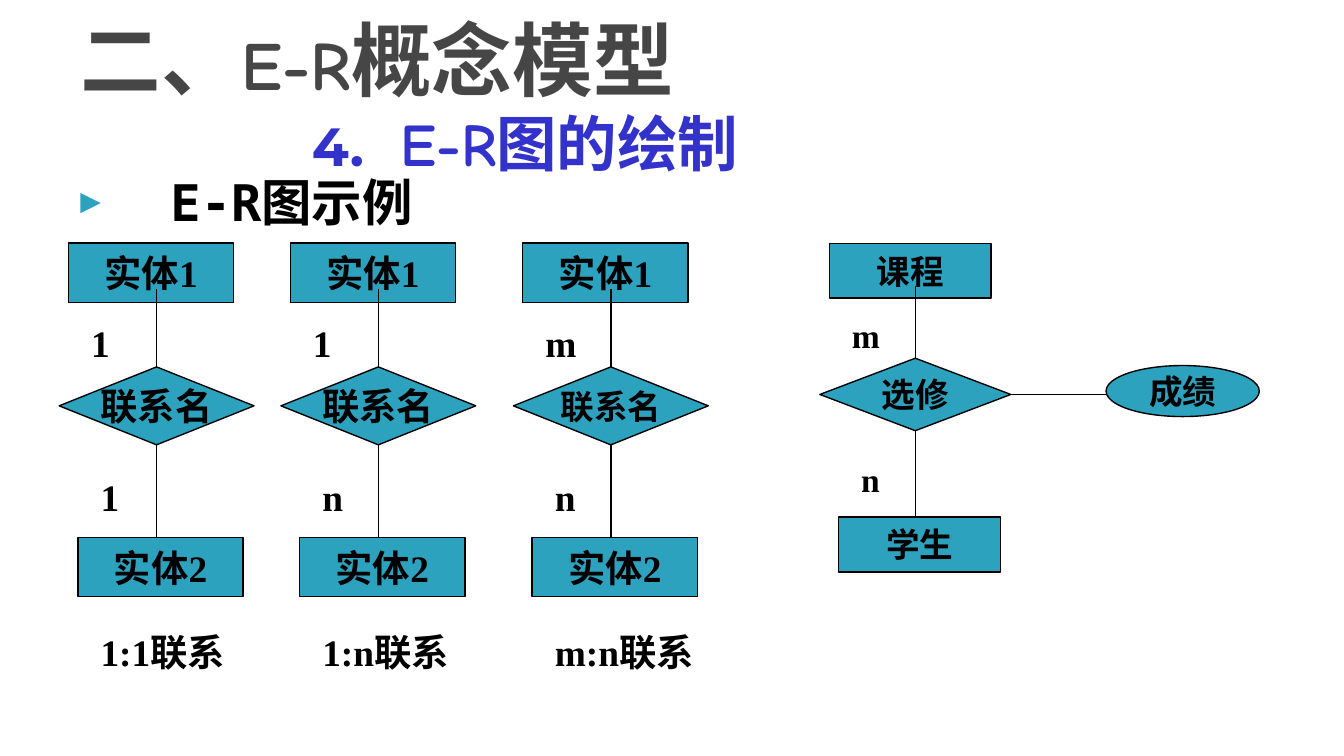
from dataclasses import dataclass

from lxml import etree
from pptx import Presentation
from pptx import util as u
from pptx.dml.color import RGBColor
from pptx.enum import shapes, text
from pptx.oxml import ns


@dataclass(frozen=True)
class Theme:
    fill: str = "2DA2BF"
    ink: str = "000000"
    heading: str = "464646"
    accent: str = "3333CC"
    mono: str = "DejaVu Sans Mono"
    comic: str = "Comic Neue"
    number: str = "Montserrat"
    serif: str = "Times New Roman"
    large: float = 20
    small: float = 18
    bullet: float = 27
    line: float = 0.75


class SlideBuilder:
    def __init__(self, slide, theme):
        self.slide = slide
        self.theme = theme
        self.canvas = slide.shapes

    def start_group(self):
        self.canvas = self.slide.shapes.add_group_shape().shapes

    def run(self, paragraph, words, size, font, color):
        run = paragraph.add_run()
        run.text = words
        run.font.size = u.Pt(size)
        run.font.name = font
        run.font.bold = True
        run.font.color.rgb = RGBColor.from_string(color)
        east_asian = etree.SubElement(run.font._element, ns.qn("a:ea"))
        east_asian.set("typeface", self.theme.mono)

    def title(self, box, lines):
        shape = self.slide.shapes.title
        shape.left, shape.top, shape.width, shape.height = map(u.Inches, box)
        frame = shape.text_frame
        frame.word_wrap = True
        frame.auto_size = text.MSO_AUTO_SIZE.NONE
        frame.vertical_anchor = text.MSO_ANCHOR.MIDDLE
        paragraph = frame.paragraphs[0]
        paragraph.alignment = text.PP_ALIGN.LEFT
        tabs = etree.SubElement(paragraph._p.get_or_add_pPr(), ns.qn("a:tabLst"))
        tab = etree.SubElement(tabs, ns.qn("a:tab"))
        tab.set("pos", str(u.Inches(1.48)))
        tab.set("algn", "l")
        for index, line in enumerate(lines):
            if index:
                paragraph.add_line_break()
            for run in line:
                self.run(paragraph, *run)

    def bullet(self, box, words):
        shape = self.slide.shapes.add_textbox(*map(u.Inches, box))
        shape.text_frame.word_wrap = True
        paragraph = shape.text_frame.paragraphs[0]
        paragraph.space_before = u.Pt(4)
        properties = paragraph._p.get_or_add_pPr()
        properties.set("marL", str(u.Inches(0.67)))
        properties.set("indent", str(-u.Inches(0.67)))
        color = etree.SubElement(properties, ns.qn("a:buClr"))
        etree.SubElement(color, ns.qn("a:srgbClr")).set("val", self.theme.fill)
        etree.SubElement(properties, ns.qn("a:buSzPct")).set("val", "68000")
        etree.SubElement(properties, ns.qn("a:buFont")).set("typeface", self.theme.mono)
        etree.SubElement(properties, ns.qn("a:buChar")).set("char", "▶")
        self.run(paragraph, words, self.theme.bullet, self.theme.mono, self.theme.ink)

    def node(self, kind, box, words, size):
        shape = self.canvas.add_shape(kind, *map(u.Inches, box))
        shape.shadow.inherit = False
        shape.fill.solid()
        shape.fill.fore_color.rgb = RGBColor.from_string(self.theme.fill)
        shape.line.color.rgb = RGBColor.from_string(self.theme.ink)
        shape.line.width = u.Pt(self.theme.line)
        frame = shape.text_frame
        frame.word_wrap = kind == shapes.MSO_SHAPE.RECTANGLE
        frame.vertical_anchor = text.MSO_ANCHOR.MIDDLE
        paragraph = frame.paragraphs[0]
        paragraph.alignment = text.PP_ALIGN.CENTER
        self.run(paragraph, words, size, self.theme.serif, self.theme.ink)
        return shape

    def label(self, box, words, size):
        frame = self.canvas.add_textbox(*map(u.Inches, box)).text_frame
        frame.word_wrap = True
        frame.margin_right = 0
        self.run(frame.paragraphs[0], words, size, self.theme.serif, self.theme.ink)

    def link(self, start, end, shape, site):
        connector = self.canvas.add_connector(
            shapes.MSO_CONNECTOR.STRAIGHT, *map(u.Inches, (*start, *end)))
        connector.begin_connect(shape, site)
        connector.line.color.rgb = RGBColor.from_string(self.theme.ink)
        connector.line.width = u.Pt(self.theme.line)
        etree.SubElement(connector._element.spPr, ns.qn("a:effectLst"))

    def relation(self, left, names, ends, size, name_size, x_scale=1, y_scale=1):
        def y(offset):
            return 1.81 + offset * y_scale

        self.start_group()
        first, relation, second = names
        entity = 1.23 * x_scale, 0.44 * y_scale
        width, height = 1.45 * x_scale, 0.58 * y_scale
        middle = left + width / 2
        rectangle = shapes.MSO_SHAPE.RECTANGLE
        self.node(rectangle, (left + 0.07, y(0), *entity), first, size)
        diamond = self.node(
            shapes.MSO_SHAPE.DIAMOND, (left, y(0.92), width, height), relation, name_size)
        self.node(rectangle, (left + 0.14, y(2.19), *entity), second, size)
        self.link((middle, y(0.92)), (middle, y(0.34)), diamond, 0)
        self.link((middle, y(1.5)), (middle, y(2.19)), diamond, 2)
        for word, indent, offset in zip(ends, (0.14, 0.21), (0.52, 1.67)):
            self.label((left + indent, y(offset), 0.36, entity[1]), word, size)
        return diamond


def main():
    presentation = Presentation()
    presentation.slide_width = u.Inches(10)
    presentation.slide_height = presentation.slide_width * 9 // 16
    theme = Theme()
    slide = presentation.slides.add_slide(presentation.slide_layouts[5])
    builder = SlideBuilder(slide, theme)

    builder.bullet((0.5, 1.22, 9, 3.71), "E-R图示例")
    builder.title((0.5, 0.23, 9, 0.94), [
        [("二、", 43.2, theme.mono, theme.heading),
         ("E-R", 36.9, theme.comic, theme.heading),
         ("概念模型", 43.2, theme.mono, theme.heading)],
        [("\t 4.", 28.8, theme.number, theme.accent),
         (" ", 32.4, theme.mono, theme.accent),
         ("E-R", 32.4, theme.comic, theme.accent),
         ("图的绘制", 32.4, theme.mono, theme.accent)],
    ])

    generic_names = "实体1", "联系名", "实体2"
    for left, ends, name_size in (
        (0.44, "11", theme.large),
        (2.09, "1n", theme.large),
        (3.82, "mn", theme.small),
    ):
        builder.relation(left, generic_names, ends, theme.large, name_size)
        builder.label((left + 0.21, 4.63, 1.3, 0.44), ":".join(ends) + "联系", theme.large)

    choice = builder.relation(
        6.1, ("课程", "选修", "学生"), "mn", theme.small, theme.small, 0.98, 0.93)
    builder.node(shapes.MSO_SHAPE.OVAL, (8.23, 2.72, 1.14, 0.38), "成绩", theme.small)
    choice_middle = u.Emu(choice.top + choice.height // 2).inches
    builder.link((7.52, choice_middle), (8.23, choice_middle), choice, 3)

    presentation.save("out.pptx")


if __name__ == "__main__":
    main()
